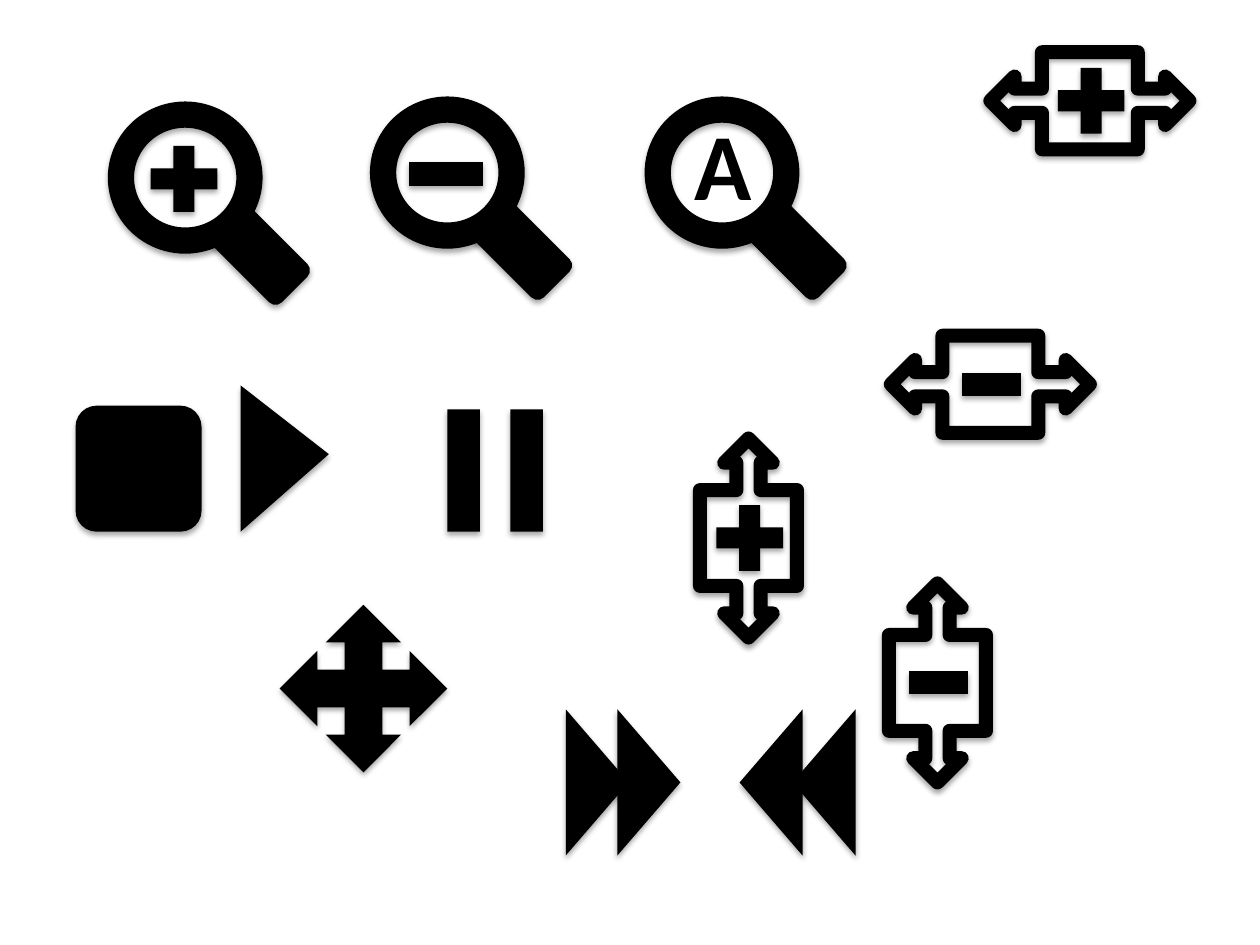
from dataclasses import dataclass
from typing import Optional

from lxml.etree import SubElement
from pptx import Presentation
from pptx.dml.color import RGBColor
from pptx.enum.shapes import MSO_SHAPE
from pptx.enum.text import MSO_AUTO_SIZE, PP_ALIGN
from pptx.oxml.ns import qn
from pptx.util import Inches, Pt


@dataclass(frozen=True)
class Theme:
    ink: RGBColor = RGBColor(0, 0, 0)
    font: str = "Calibri"
    letter_size: float = 54
    callout_line: float = 8
    lens_line: float = 15
    shadow_blur: float = 3.15
    shadow_distance: float = 1.8
    shadow_opacity: int = 35


@dataclass(frozen=True)
class Sign:
    kind: MSO_SHAPE
    width: float
    height: float


@dataclass(frozen=True)
class StretchIcon:
    center_x: float
    center_y: float
    sign: Sign
    rotation: float = 0


@dataclass(frozen=True)
class Magnifier:
    left: float
    top: float
    sign: Optional[Sign] = None
    letter: str = ""


THEME = Theme()
PLUS = Sign(MSO_SHAPE.MATH_PLUS, 0.72, 0.71)
MINUS = Sign(MSO_SHAPE.MATH_MINUS, 0.64, 0.77)
WIDE_MINUS = Sign(MSO_SHAPE.MATH_MINUS, 0.79, 0.79)

STRETCH_ICONS = [
    StretchIcon(5.94, 4.27, PLUS, 90),
    StretchIcon(7.44, 5.42, MINUS, 90),
    StretchIcon(8.65, 0.8, PLUS),
    StretchIcon(7.86, 3.05, MINUS),
]
MAGNIFIERS = [
    Magnifier(0.96, 0.91, PLUS),
    Magnifier(3.04, 0.87, WIDE_MINUS),
    Magnifier(5.22, 0.87, letter="A"),
]


def add_shadow(shape) -> None:
    shape.shadow.inherit = False
    effects = shape._element.spPr.find(qn("a:effectLst"))
    shadow = SubElement(
        effects, qn("a:outerShdw"),
        blurRad=str(int(Pt(THEME.shadow_blur))),
        dist=str(int(Pt(THEME.shadow_distance))),
        dir=str(90 * 60000), rotWithShape="0",
    )
    color = SubElement(shadow, qn("a:srgbClr"), val=str(THEME.ink))
    SubElement(color, qn("a:alpha"), val=str(THEME.shadow_opacity * 1000))


def add_icon_part(shapes, kind: MSO_SHAPE, left: float, top: float, width: float,
                  height: float, rotation: float = 0, outline: float = 0):
    """Add a solid part, or a hollow one if an outline width in points is given."""
    part = shapes.add_shape(kind, Inches(left), Inches(top), Inches(width), Inches(height))
    part.rotation = rotation
    if outline:
        part.fill.background()
        part.line.color.rgb = THEME.ink
        part.line.width = Pt(outline)
    else:
        part.fill.solid()
        part.fill.fore_color.rgb = THEME.ink
        part.line.fill.background()
    add_shadow(part)
    return part


def add_sign(shapes, sign: Sign, center_x: float, center_y: float) -> None:
    add_icon_part(shapes, sign.kind, center_x - sign.width / 2,
                  center_y - sign.height / 2, sign.width, sign.height)


def add_letter(shapes, text: str, *, left: float, top: float,
               width: float, height: float, size: float) -> None:
    box = shapes.add_textbox(Inches(left), Inches(top), Inches(width), Inches(height))
    box.text_frame.word_wrap = False
    box.text_frame.auto_size = MSO_AUTO_SIZE.SHAPE_TO_FIT_TEXT
    para = box.text_frame.paragraphs[0]
    para.alignment = PP_ALIGN.CENTER
    span = para.add_run()
    span.text = text
    span.font.name = THEME.font
    span.font.size = Pt(size)
    span.font.bold = True
    span.font.color.rgb = THEME.ink


def add_stretch_icon(page, icon: StretchIcon) -> None:
    shapes = page.shapes.add_group_shape().shapes
    width, height = 1.58, 0.77
    add_icon_part(shapes, MSO_SHAPE.LEFT_RIGHT_ARROW_CALLOUT, icon.center_x - width / 2,
                  icon.center_y - height / 2, width, height,
                  rotation=icon.rotation, outline=THEME.callout_line)
    add_sign(shapes, icon.sign, icon.center_x + 0.01, icon.center_y)


def add_magnifier(page, icon: Magnifier) -> None:
    shapes = page.shapes.add_group_shape().shapes
    add_icon_part(shapes, MSO_SHAPE.OVAL, icon.left, icon.top, 1.02, 1,
                  outline=THEME.lens_line)
    add_icon_part(shapes, MSO_SHAPE.ROUNDED_RECTANGLE, icon.left + 0.67,
                  icon.top + 0.88, 0.83, 0.43, rotation=45)
    if icon.sign:
        add_sign(shapes, icon.sign, icon.left + 0.5, icon.top + 0.51)
    if icon.letter:
        add_letter(shapes, icon.letter, left=icon.left + 0.19, top=icon.top - 0.08,
                   width=0.66, height=1.01, size=THEME.letter_size)


def add_pause(page) -> None:
    shapes = page.shapes.add_group_shape().shapes
    for left in (3.55, 4.05):
        add_icon_part(shapes, MSO_SHAPE.RECTANGLE, left, 3.25, 0.26, 0.97)


def add_double_triangle(page, lefts: tuple[float, float], rotation: float) -> None:
    shapes = page.shapes.add_group_shape().shapes
    for left in lefts:
        add_icon_part(shapes, MSO_SHAPE.ISOSCELES_TRIANGLE, left, 5.96, 1.16, 0.5,
                      rotation=rotation)


def main() -> None:
    deck = Presentation()
    deck.slide_width, deck.slide_height = Inches(10), Inches(7.5)
    page = deck.slides.add_slide(deck.slide_layouts[6])

    for stretch_icon in STRETCH_ICONS:
        add_stretch_icon(page, stretch_icon)
    add_icon_part(page.shapes, MSO_SHAPE.QUAD_ARROW, 2.22, 4.8, 1.33, 1.33)
    for magnifier in MAGNIFIERS:
        add_magnifier(page, magnifier)

    play = add_icon_part(page.shapes, MSO_SHAPE.ISOSCELES_TRIANGLE, 1.68, 3.29, 1.16, 0.7,
                         rotation=90)
    play.adjustments[0] = 0.47
    add_pause(page)
    add_double_triangle(page, (4.16, 4.57), rotation=90)
    add_double_triangle(page, (5.96, 5.54), rotation=270)
    add_icon_part(page.shapes, MSO_SHAPE.ROUNDED_RECTANGLE, 0.6, 3.22, 1, 1)
    deck.save("out.pptx")


if __name__ == "__main__":
    main()
